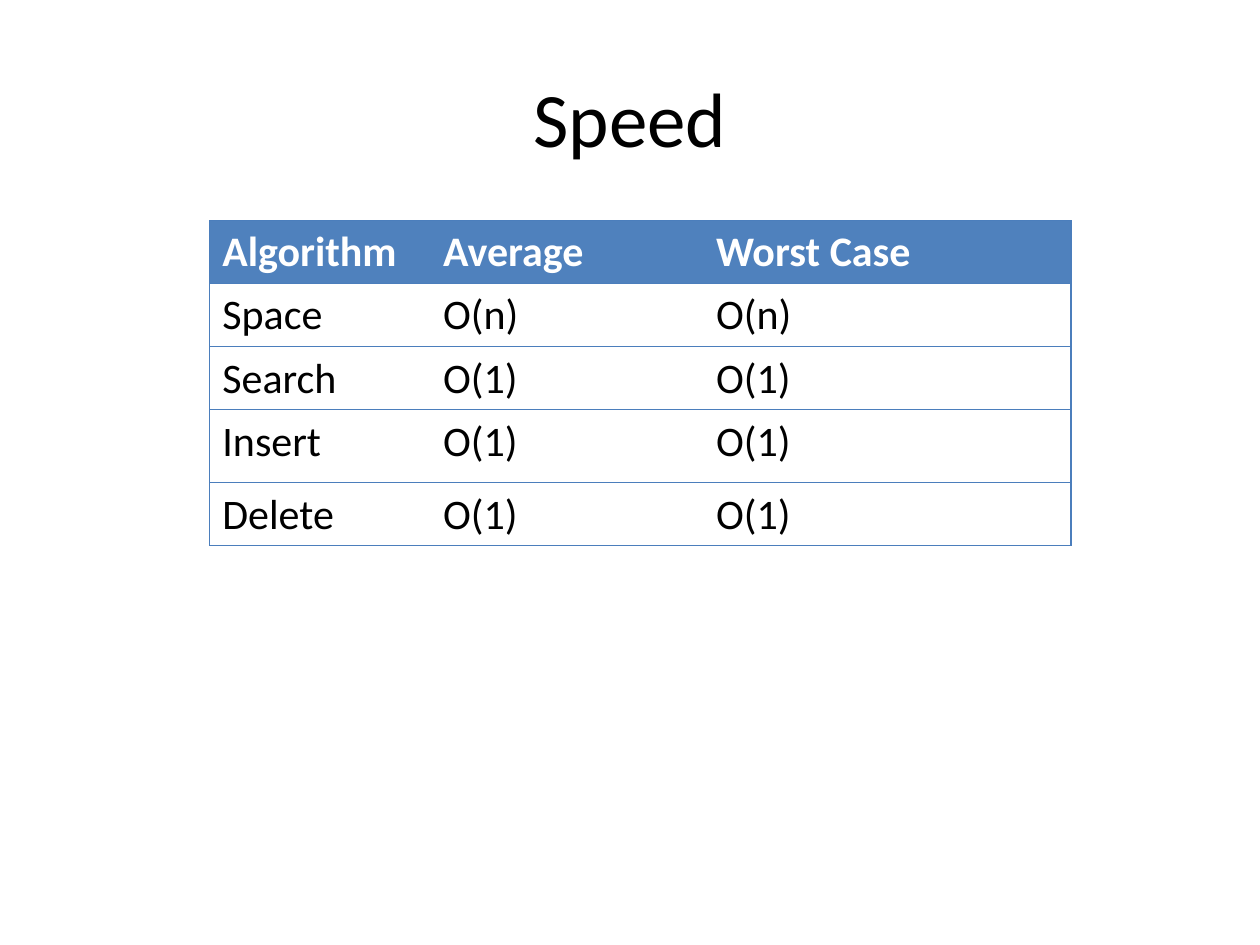
import pptx
import pptx.dml.color
import pptx.enum.text
import pptx.oxml
import pptx.oxml.ns
import pptx.util
from pptx.util import Cm

# Content
TITLE = "Speed"
ROWS = [
    ("Algorithm", "Average", "Worst Case"),
    ("Space", "O(n)", "O(n)"),
    ("Search", "O(1)", "O(1)"),
    ("Insert", "O(1)", "O(1)"),
    ("Delete", "O(1)", "O(1)"),
]
COL_WIDTHS = [4.45, 5.5, 7.41]
ROW_HEIGHTS = [1.04, 1.04, 1.04, 1.47, 1.04]

FONT = "Calibri"
BLACK = pptx.dml.color.RGBColor(0x00, 0x00, 0x00)
WHITE = pptx.dml.color.RGBColor(0xFF, 0xFF, 0xFF)
HEADER_BLUE = pptx.dml.color.RGBColor(0x4F, 0x81, 0xBD)
BORDER_BLUE = pptx.dml.color.RGBColor(0x4B, 0x7E, 0xBC)


def style_text(tf, size, color, bold=False):
    for p in tf.paragraphs:
        for r in p.runs:
            r.font.name = FONT
            r.font.size = pptx.util.Pt(size)
            r.font.bold = bold
            r.font.color.rgb = color


def set_borders(cell, visible):
    """Draw the sides named in visible and hide the others."""
    tc_pr = cell._tc.get_or_add_tcPr()
    for i, side in enumerate("LRTB"):
        if side in visible:
            fill = f'<a:solidFill><a:srgbClr val="{BORDER_BLUE}"/></a:solidFill>'
        else:
            fill = "<a:noFill/>"
        ln = pptx.oxml.parse_xml(
            f'<a:ln{side} {pptx.oxml.ns.nsdecls("a")} w="{pptx.util.Pt(0.75)}">'
            f"{fill}</a:ln{side}>")
        tc_pr.insert(i, ln)


prs = pptx.Presentation()
prs.slide_width, prs.slide_height = Cm(25.4), Cm(19.05)
s = prs.slides.add_slide(prs.slide_layouts[6])

# Title
sp = s.shapes.add_textbox(Cm(1.27), Cm(0.76), Cm(22.86), Cm(3.18))
tf = sp.text_frame
tf.word_wrap = True
tf.vertical_anchor = pptx.enum.text.MSO_ANCHOR.MIDDLE
tf.text = TITLE
tf.paragraphs[0].alignment = pptx.enum.text.PP_ALIGN.CENTER
style_text(tf, 44, BLACK)

# Complexity table
table = s.shapes.add_table(
    len(ROWS), len(COL_WIDTHS), Cm(4.23), Cm(4.45),
    Cm(sum(COL_WIDTHS)), Cm(sum(ROW_HEIGHTS))).table
table.horz_banding = False
for col, width in zip(table.columns, COL_WIDTHS):
    col.width = Cm(width)
for row, height in zip(table.rows, ROW_HEIGHTS):
    row.height = Cm(height)

last_col = len(COL_WIDTHS) - 1
for i, texts in enumerate(ROWS):
    header = i == 0
    for j, text in enumerate(texts):
        cell = table.cell(i, j)
        cell.text_frame.text = text
        style_text(cell.text_frame, 24, WHITE if header else BLACK, header)
        if header:
            cell.fill.solid()
            cell.fill.fore_color.rgb = HEADER_BLUE
        else:
            cell.fill.background()
        set_borders(cell, "TB" + "L" * (j == 0) + "R" * (j == last_col))

prs.save("out.pptx")
